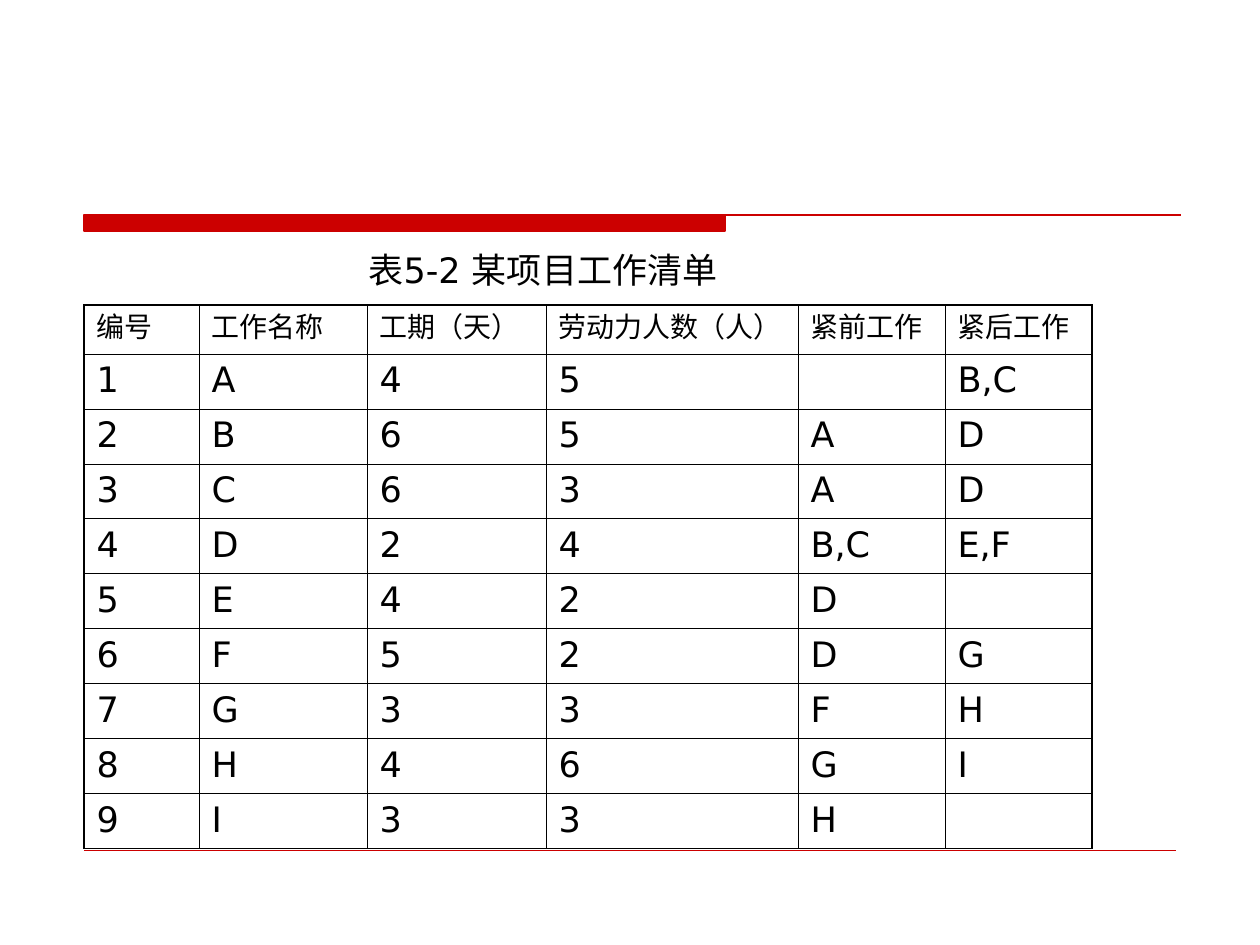
from lxml import etree
from pptx import Presentation
from pptx import util as u
from pptx.dml.color import RGBColor
from pptx.enum import text
from pptx.oxml import ns

RED = RGBColor(0xCC, 0x00, 0x00)
BLACK = RGBColor(0x00, 0x00, 0x00)
FONT = "DejaVu Sans"
THIN, THICK = 0.45, 1.08
COLS = [115, 168, 179, 252, 147, 147]
HEAD, BODY = 49, 55
ROWS = [
    ["编号", "工作名称", "工期（天）", "劳动力人数（人）", "紧前工作", "紧后工作"],
    ["1", "A", "4", "5", "", "B,C"],
    ["2", "B", "6", "5", "A", "D"],
    ["3", "C", "6", "3", "A", "D"],
    ["4", "D", "2", "4", "B,C", "E,F"],
    ["5", "E", "4", "2", "D", ""],
    ["6", "F", "5", "2", "D", "G"],
    ["7", "G", "3", "3", "F", "H"],
    ["8", "H", "4", "6", "G", "I"],
    ["9", "I", "3", "3", "H", ""],
]


def px(n):
    return u.Emu(round(n * 914400 / 126))


def write(frame, words, size=20, align=text.PP_ALIGN.LEFT):
    para = frame.paragraphs[0]
    para.alignment = align
    para.font.size = u.Pt(size)
    if words:
        run = para.add_run()
        run.text = words
        run.font.size = u.Pt(size)
        run.font.name = FONT
        run.font.color.rgb = BLACK
        mark = etree.SubElement(run.font._element, ns.qn("a:ea"))
        mark.set("typeface", FONT)


def edge(cell, side, width):
    line = etree.SubElement(cell._tc.get_or_add_tcPr(), ns.qn("a:ln" + side))
    line.set("w", str(u.Pt(width)))
    fill = etree.SubElement(line, ns.qn("a:solidFill"))
    etree.SubElement(fill, ns.qn("a:srgbClr")).set("val", str(BLACK))


def band(slide, x, y, w, h, bar):
    path = slide.shapes.build_freeform(px(x), px(y))
    path.add_line_segments(
        [(px(x + bar), px(y)), (px(x + bar), px(y + h)), (px(x), px(y + h))], close=True)
    path.move_to(px(x), px(y))
    path.add_line_segments([(px(x + w), px(y))], close=False)
    shape = path.convert_to_shape()
    shape.shadow.inherit = False
    shape.fill.solid()
    shape.fill.fore_color.rgb = RED
    shape.line.color.rgb = RED
    shape.line.width = u.Pt(0.75)


def foot(slide, x, y, w):
    line = slide.shapes.add_connector(1, px(x), px(y), px(x + w), px(y))
    line.line.color.rgb = RED
    line.line.width = u.Pt(0.25)
    etree.SubElement(line._element.spPr, ns.qn("a:effectLst"))


def title(slide, x, y, w, h):
    frame = slide.shapes.add_textbox(px(x), px(y), px(w), px(h)).text_frame
    frame.word_wrap = True
    write(frame, "表5-2 某项目工作清单", align=text.PP_ALIGN.CENTER)


def tasks(slide, x, y):
    high = HEAD + BODY * (len(ROWS) - 1)
    table = slide.shapes.add_table(
        len(ROWS), len(COLS), px(x), px(y), px(sum(COLS)), px(high)).table
    table.first_row = table.horz_banding = False
    for col, wide in zip(table.columns, COLS):
        col.width = px(wide)
    for r, words in enumerate(ROWS):
        table.rows[r].height = px(BODY if r else HEAD)
        for c, word in enumerate(words):
            cell = table.cell(r, c)
            outer = {"L": c == 0, "R": c == len(COLS) - 1,
                     "T": r == 0, "B": r == len(ROWS) - 1}
            for side, rim in outer.items():
                edge(cell, side, THICK if rim else THIN)
            cell.fill.background()
            write(cell.text_frame, word, size=20 if r else 16)


def main():
    deck = Presentation()
    deck.slide_width, deck.slide_height = px(1260), px(945)
    slide = deck.slides.add_slide(deck.slide_layouts[6])
    foot(slide, 84, 850, 1092)
    band(slide, 84, 215, 1097, 16, bar=641)
    title(slide, 78, 242, 930, 84)
    tasks(slide, 84, 305)
    deck.save("out.pptx")


if __name__ == "__main__":
    main()
